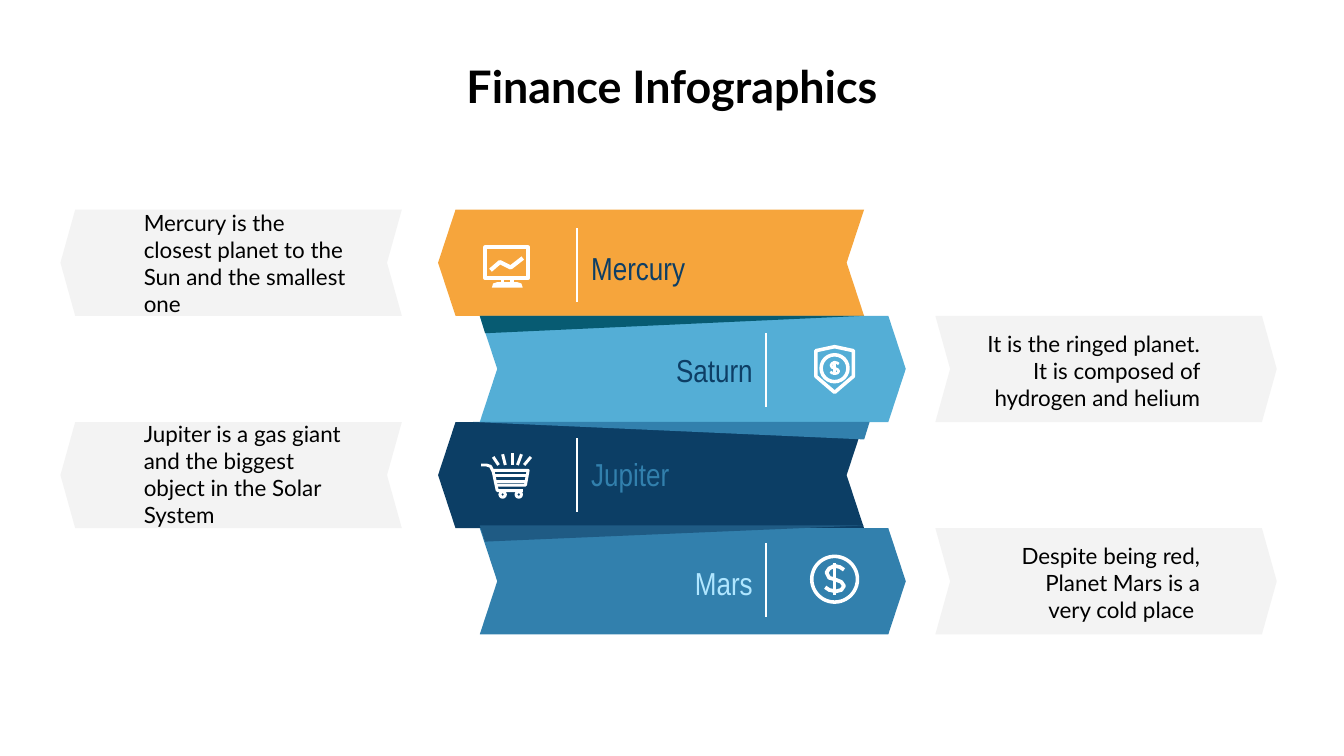
from lxml.etree import SubElement
from pptx import Presentation
from pptx.dml.color import RGBColor
from pptx.enum.shapes import MSO_CONNECTOR as Connector, MSO_SHAPE as Shape
from pptx.enum.text import MSO_ANCHOR as Anchor, MSO_AUTO_SIZE as AutoSize, PP_ALIGN as Align
from pptx.oxml.ns import qn
from pptx.util import Inches, Pt

COLORS = {
    "black": "000000", "white": "FFFFFF", "callout": "F3F3F3",
    "orange": "F6A53C", "sky": "54AED6", "navy": "0C3E65", "blue": "3280AD",
    "teal": "075B72", "steel": "1F5B84", "label": "0D3E65", "pale": "B0E6FF",
}
FIRST_TOP = 1.56
ROW_HEIGHT = 0.79
ICON_WEIGHT = 1.9


def color(name):
    return RGBColor.from_string(COLORS[name])


def outline(shapes, points, closed=True):
    corners = [(Inches(x), Inches(y)) for x, y in points]
    builder = shapes.build_freeform(*corners[0])
    builder.add_line_segments(corners[1:], close=closed)
    shape = builder.convert_to_shape()
    shape.shadow.inherit = False
    return shape


def add_polygon(shapes, points, fill):
    polygon = outline(shapes, points)
    polygon.fill.solid()
    polygon.fill.fore_color.rgb = color(fill)
    polygon.line.fill.background()


def paint_stroke(shape, weight):
    shape.fill.background()
    shape.line.color.rgb = color("white")
    shape.line.width = Pt(weight)


def add_stroke(shapes, points, closed=False, weight=ICON_WEIGHT):
    paint_stroke(outline(shapes, points, closed), weight)


def add_line(shapes, start, end, weight=ICON_WEIGHT):
    line = shapes.add_connector(Connector.STRAIGHT, *map(Inches, start + end))
    line.line.color.rgb = color("white")
    line.line.width = Pt(weight)
    SubElement(line._element.spPr, qn("a:effectLst"))


def add_ring(shapes, x, y, radius, weight=ICON_WEIGHT):
    ring = shapes.add_shape(Shape.OVAL, Inches(x - radius), Inches(y - radius),
                            Inches(2 * radius), Inches(2 * radius))
    ring.shadow.inherit = False
    paint_stroke(ring, weight)


def add_arrow(shapes, left, top, width, tip, faces_left, fill):
    right, middle, bottom = left + width, top + ROW_HEIGHT / 2, top + ROW_HEIGHT
    points = [(left + tip, top), (left, middle), (left + tip, bottom),
              (right, bottom), (right - tip, middle), (right, top)]
    if not faces_left:
        points = [(left + right - x, y) for x, y in points]
    add_polygon(shapes, points, fill)


def style_paragraph(paragraph, align, font, size, ink, bold=False):
    paragraph.alignment = align
    paragraph.font.name = font
    paragraph.font.size = Pt(size)
    paragraph.font.bold = bold
    paragraph.font.color.rgb = color(ink)


def add_text(shapes, text, left, top, height, align, font, size, ink, insets=(0.1, 0.1)):
    frame = shapes.add_textbox(Inches(left), Inches(top), Inches(2.1), Inches(height)).text_frame
    frame.word_wrap = True
    frame.vertical_anchor = Anchor.MIDDLE
    frame.margin_left, frame.margin_right = map(Inches, insets)
    frame.margin_top = frame.margin_bottom = Inches(0.1)
    frame.text = text
    style_paragraph(frame.paragraphs[0], align, font, size, ink)


def add_title(slide, text):
    title = slide.shapes.title
    title.left, title.top, title.width, title.height = map(Inches, (0.2, 0.34, 9.6, 0.63))
    frame = title.text_frame
    frame.text = text
    frame.auto_size = AutoSize.NONE
    frame.vertical_anchor = Anchor.TOP
    frame.margin_top = frame.margin_bottom = Inches(0.1)
    style_paragraph(frame.paragraphs[0], Align.CENTER, "Lato", 24, "black", True)


def draw_monitor(shapes):
    add_stroke(shapes, [(3.61, 1.84), (3.93, 1.84), (3.93, 2.07), (3.61, 2.07)], True)
    add_stroke(shapes, [(3.65, 2.01), (3.72, 1.95), (3.8, 1.99), (3.89, 1.92)], weight=2.2)
    for x in (3.74, 3.81):
        add_line(shapes, (x, 2.08), (x, 2.11))
    add_polygon(shapes, [(3.66, 2.14), (3.67, 2.11), (3.7, 2.1), (3.85, 2.1),
                         (3.88, 2.11), (3.89, 2.14)], "white")


def draw_dollar(shapes, x, y, scale, weight):
    curve = [(0.07, -0.07), (0.04, -0.09), (0, -0.1), (-0.04, -0.08), (-0.06, -0.05),
             (-0.04, -0.01), (0, 0), (0.05, 0.02), (0.07, 0.05), (0.05, 0.08),
             (0.01, 0.09), (-0.04, 0.08), (-0.07, 0.06)]
    add_stroke(shapes, [(x + dx * scale, y + dy * scale) for dx, dy in curve], weight=weight)
    add_line(shapes, (x, y - 0.12 * scale), (x, y + 0.12 * scale), weight)


def draw_shield(shapes):
    add_stroke(shapes, [(6.21, 2.58), (6.35, 2.61), (6.35, 2.8), (6.21, 2.92),
                        (6.07, 2.8), (6.07, 2.61)], True)
    add_ring(shapes, 6.21, 2.74, 0.1)
    draw_dollar(shapes, 6.21, 2.74, 0.45, 1.4)


def draw_cart(shapes):
    add_stroke(shapes, [(3.58, 3.46), (3.62, 3.46), (3.65, 3.47), (3.67, 3.51),
                        (3.7, 3.65), (3.89, 3.65)], weight=1.6)
    add_stroke(shapes, [(3.67, 3.5), (3.93, 3.5), (3.91, 3.61), (3.7, 3.61)], weight=1.6)
    for y, right in ((3.54, 3.92), (3.58, 3.91)):
        add_line(shapes, (3.68, y), (right, y), 1.5)
    for x in (3.74, 3.86):
        add_ring(shapes, x, 3.68, 0.02, 1.6)
    for bottom_x, top_x, top in ((3.71, 3.67, 3.4), (3.76, 3.74, 3.38), (3.81, 3.81, 3.37),
                                 (3.85, 3.88, 3.38), (3.9, 3.95, 3.4)):
        add_line(shapes, (bottom_x, 3.46), (top_x, top), 1.6)


def draw_coin(shapes):
    add_ring(shapes, 6.21, 4.31, 0.17)
    draw_dollar(shapes, 6.21, 4.31, 1, 2)


PLANETS = [
    ("Mercury", "Mercury is the closest planet to the Sun and the smallest one",
     "orange", "label", 1.68, 1.76, (0.3, 0.29), draw_monitor, None),
    ("Saturn", "It is the ringed planet. It is composed of hydrogen and helium",
     "sky", "label", 2.48, 2.52, (0.1, 0.3), draw_shield,
     ("teal", [(3.57, 2.35), (3.61, 2.48), (6.43, 2.35)])),
    ("Jupiter", "Jupiter is a gas giant and the biggest object in the Solar System",
     "navy", "blue", 3.25, 3.29, (0.3, 0.3), draw_cart,
     ("blue", [(3.52, 3.14), (6.43, 3.27), (6.47, 3.14)])),
    ("Mars", "Despite being red, Planet Mars is a very cold place ",
     "blue", "pale", 4.06, 4.1, (0.3, 0.3), draw_coin,
     ("steel", [(3.57, 3.91), (3.61, 4.03), (6.43, 3.91)])),
]


def main():
    deck = Presentation()
    deck.slide_width = Inches(10)
    deck.slide_height = deck.slide_width * 9 // 16
    slide = deck.slides.add_slide(deck.slide_layouts[5])
    add_title(slide, "Finance Infographics")
    banners = slide.shapes.add_group_shape().shapes
    for row, planet in enumerate(PLANETS):
        name, fact, fill, ink, fact_top, label_top, insets, draw_icon, fold = planet
        top = FIRST_TOP + row * ROW_HEIGHT
        faces_left = row % 2 == 0
        if faces_left:
            callout_x, fact_x, banner_x, label_x, divider_x = 0.45, 0.77, 3.26, 4.3, 4.29
            align = Align.LEFT
        else:
            callout_x, fact_x, banner_x, label_x, divider_x = 6.96, 7.13, 3.57, 3.6, 5.7
            align = Align.RIGHT
        add_arrow(slide.shapes, callout_x, top, 2.54, 0.11, faces_left, "callout")
        add_text(slide.shapes, fact, fact_x, fact_top, 0.55, align, "Lato", 12, "black", insets)
        add_arrow(banners, banner_x, top, 3.17, 0.13, faces_left, fill)
        if fold:
            fold_fill, fold_points = fold
            add_polygon(banners, fold_points, fold_fill)
        divider_top = 1.7 + row * 0.78
        add_line(banners, (divider_x, divider_top), (divider_x, divider_top + 0.55), 1.1)
        draw_icon(banners)
        add_text(banners, name, label_x, label_top, 0.47, align, "Arial Narrow", 17, ink)
    deck.save("out.pptx")


if __name__ == "__main__":
    main()
